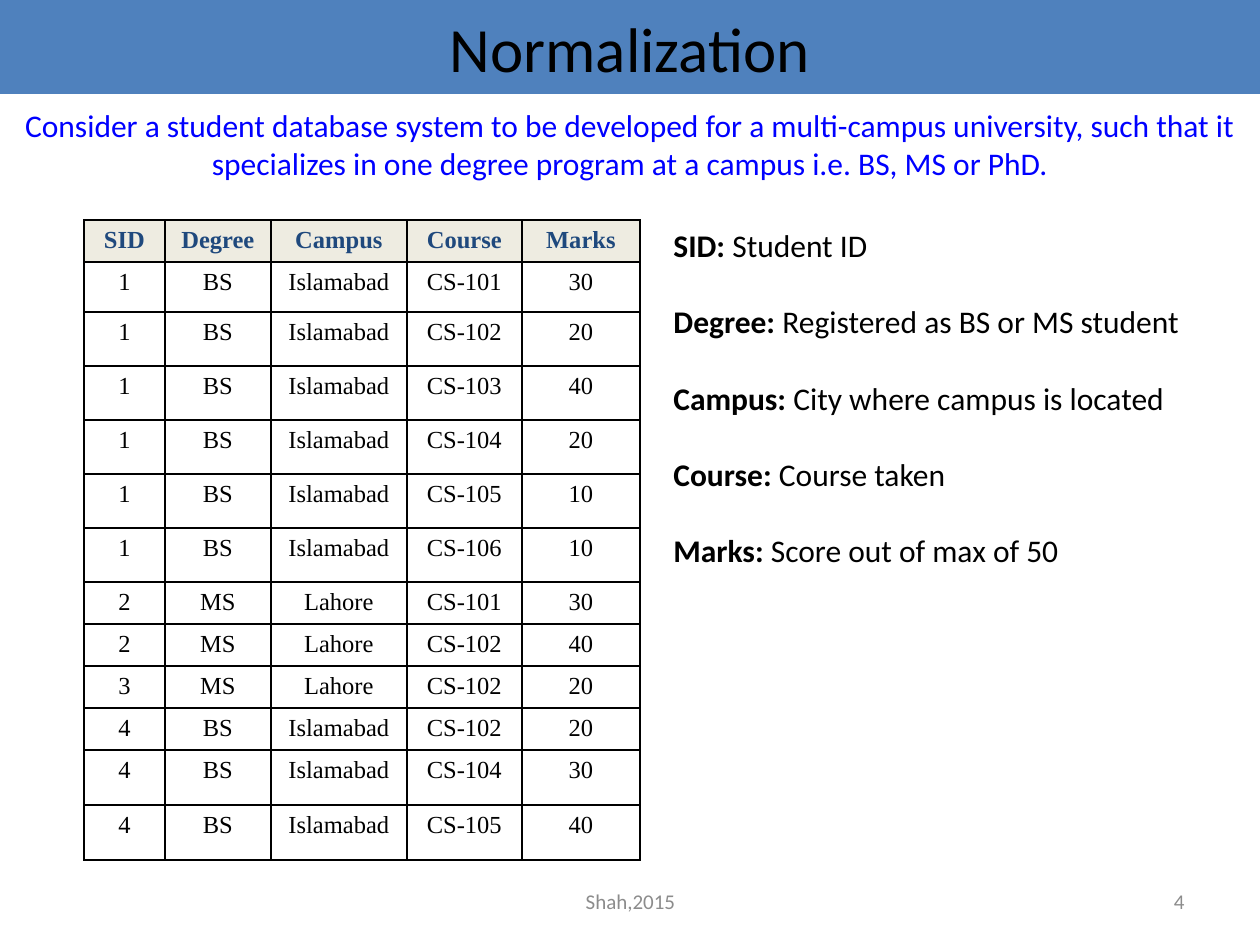
from dataclasses import dataclass
from typing import NamedTuple

from lxml import etree
from pptx import Presentation
from pptx import util as u
from pptx.dml.color import RGBColor
from pptx.enum import text
from pptx.oxml import ns

PX = 914400 // 126


class Box(NamedTuple):
    left: int
    top: int
    width: int
    height: int


class Style(NamedTuple):
    font: str
    size: int
    color: str
    bold: bool = False


class Label(NamedTuple):
    box: Box
    words: str
    style: Style
    align: text.PP_ALIGN
    anchor: text.MSO_ANCHOR


class Term(NamedTuple):
    name: str
    sense: str


@dataclass(frozen=True)
class Theme:
    bar: str = "4F81BD"
    head_fill: str = "EEECE1"
    rule: str = "000000"
    rule_pt: int = 1
    gap_pt: int = 22
    title: Style = Style("Calibri", 36, "000000")
    intro: Style = Style("Calibri", 18, "0000FF")
    term: Style = Style("Calibri", 18, "000000", True)
    sense: Style = Style("Calibri", 18, "000000")
    foot: Style = Style("Calibri", 12, "8C8C8C")
    head: Style = Style("Times New Roman", 14, "1F497D", True)
    body: Style = Style("Times New Roman", 14, "000000")


THEME = Theme()
ALIGN = text.PP_ALIGN
ANCHOR = text.MSO_ANCHOR

LABELS = [
    Label(Box(431, 876, 399, 50), "Shah,2015", THEME.foot, ALIGN.CENTER, ANCHOR.MIDDLE),
    Label(Box(903, 876, 294, 50), "4", THEME.foot, ALIGN.RIGHT, ANCHOR.MIDDLE),
    Label(
        Box(0, 100, 1260, 88),
        "Consider a student database system to be developed for a multi-campus "
        "university, such that it specializes in one degree program at a campus "
        "i.e. BS, MS or PhD.",
        THEME.intro, ALIGN.CENTER, ANCHOR.TOP,
    ),
]
TERMS = [
    Term("SID:", " Student ID"),
    Term("Degree:", " Registered as BS or MS student"),
    Term("Campus:", " City where campus is located"),
    Term("Course:", " Course taken"),
    Term("Marks:", " Score out of max of 50"),
]
HEADS = ["SID", "Degree", "Campus", "Course", "Marks"]
CAMPUS = {"BS": "Islamabad", "MS": "Lahore"}
MARKS = [
    ("1", "BS", 101, 30), ("1", "BS", 102, 20), ("1", "BS", 103, 40),
    ("1", "BS", 104, 20), ("1", "BS", 105, 10), ("1", "BS", 106, 10),
    ("2", "MS", 101, 30), ("2", "MS", 102, 40), ("3", "MS", 102, 20),
    ("4", "BS", 102, 20), ("4", "BS", 104, 30), ("4", "BS", 105, 40),
]
COLS = [81, 106, 136, 115, 118]
ROWS = [42, 50] + [54] * 5 + [42] * 4 + [55] * 2


def emu(box: Box) -> list[int]:
    return [side * PX for side in box]


def add_run(para, words: str, style: Style) -> None:
    run = para.add_run()
    run.text = words
    run.font.name = style.font
    run.font.size = u.Pt(style.size)
    run.font.bold = style.bold
    run.font.color.rgb = RGBColor.from_string(style.color)


def add_title(slide, box: Box, words: str) -> None:
    title = slide.shapes.title
    title.left, title.top, title.width, title.height = emu(box)
    title.fill.solid()
    title.fill.fore_color.rgb = RGBColor.from_string(THEME.bar)
    frame = title.text_frame
    frame.auto_size = text.MSO_AUTO_SIZE.NONE
    frame.vertical_anchor = ANCHOR.MIDDLE
    para = frame.paragraphs[0]
    para.alignment = ALIGN.CENTER
    add_run(para, words, THEME.title)


def add_label(slide, label: Label) -> None:
    frame = slide.shapes.add_textbox(*emu(label.box)).text_frame
    frame.word_wrap = True
    frame.vertical_anchor = label.anchor
    para = frame.paragraphs[0]
    para.alignment = label.align
    add_run(para, label.words, label.style)


def add_terms(slide, box: Box, terms: list[Term]) -> None:
    frame = slide.shapes.add_textbox(*emu(box)).text_frame
    frame.word_wrap = False
    for i, term in enumerate(terms):
        para = frame.add_paragraph() if i else frame.paragraphs[0]
        if i:
            para.space_before = u.Pt(THEME.gap_pt)
        add_run(para, term.name, THEME.term)
        add_run(para, term.sense, THEME.sense)


def rule_cell(cell) -> None:
    props = cell._tc.get_or_add_tcPr()
    for side in ("lnL", "lnR", "lnT", "lnB"):
        line = etree.SubElement(props, ns.qn(f"a:{side}"), w=str(u.Pt(THEME.rule_pt)))
        fill = etree.SubElement(line, ns.qn("a:solidFill"))
        etree.SubElement(fill, ns.qn("a:srgbClr"), val=THEME.rule)


def fill_cell(cell, words: str, is_head: bool) -> None:
    rule_cell(cell)
    if is_head:
        cell.fill.solid()
        cell.fill.fore_color.rgb = RGBColor.from_string(THEME.head_fill)
    else:
        cell.fill.background()
    para = cell.text_frame.paragraphs[0]
    para.alignment = ALIGN.CENTER
    add_run(para, words, THEME.head if is_head else THEME.body)


def add_marks(slide, left: int, top: int) -> None:
    box = Box(left, top, sum(COLS), sum(ROWS))
    grid = slide.shapes.add_table(len(ROWS), len(COLS), *emu(box)).table
    grid.first_row = False
    grid.horz_banding = False
    for col, width in zip(grid.columns, COLS):
        col.width = width * PX
    for row, height in zip(grid.rows, ROWS):
        row.height = height * PX
    data = [HEADS] + [
        [sid, deg, CAMPUS[deg], f"CS-{course}", str(mark)]
        for sid, deg, course, mark in MARKS
    ]
    for r, row in enumerate(data):
        for c, words in enumerate(row):
            fill_cell(grid.cell(r, c), words, r == 0)


def main() -> None:
    deck = Presentation()
    deck.slide_width = u.Inches(10)
    deck.slide_height = u.Inches(7.5)
    slide = deck.slides.add_slide(deck.slide_layouts[5])
    add_title(slide, Box(0, 0, 1260, 94), "Normalization")
    for label in LABELS:
        add_label(slide, label)
    add_terms(slide, Box(661, 220, 601, 353), TERMS)
    add_marks(slide, 84, 220)
    deck.save("out.pptx")


if __name__ == "__main__":
    main()
